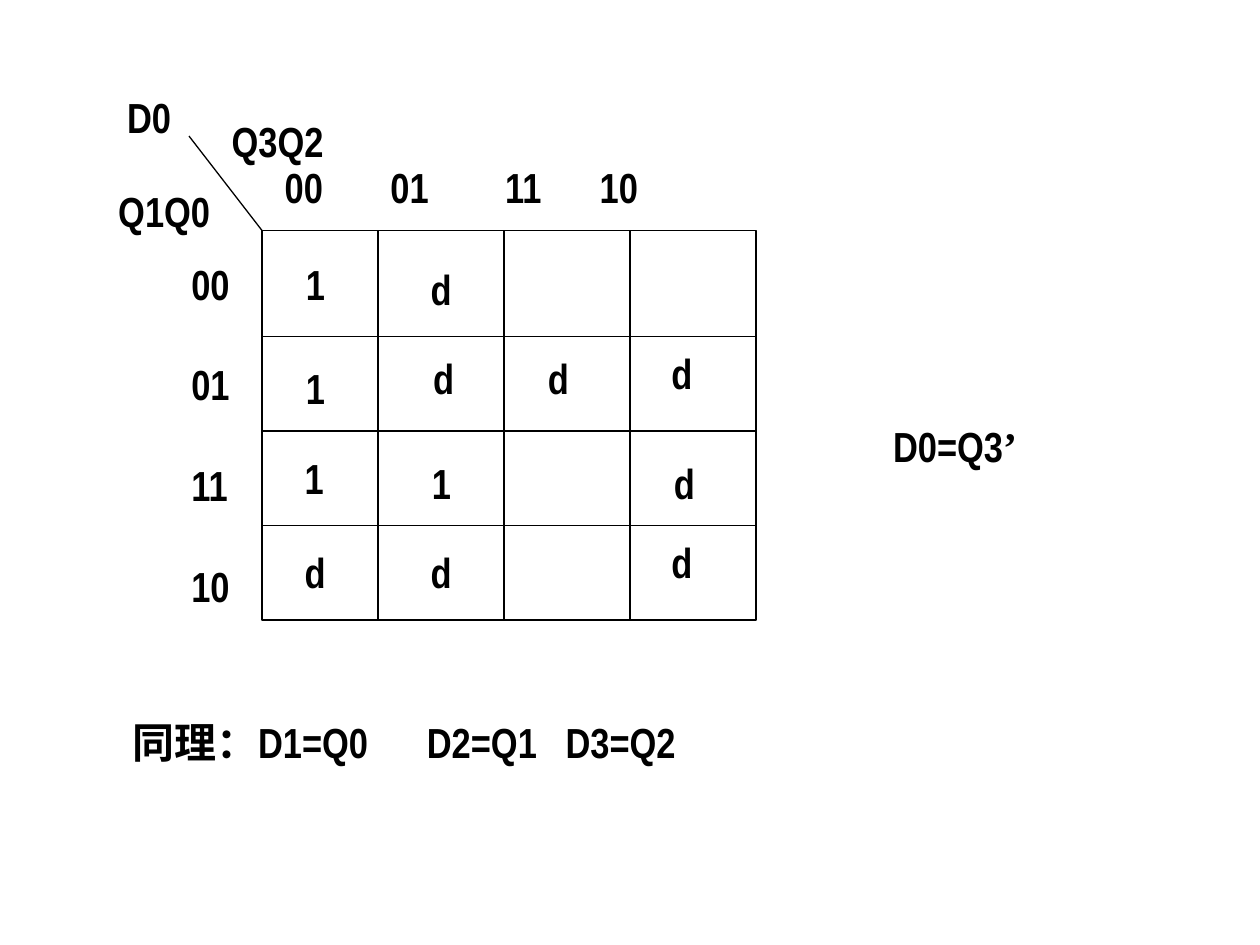
from lxml.etree import SubElement
from pptx import Presentation
from pptx.dml.color import RGBColor
from pptx.enum.shapes import MSO_CONNECTOR, MSO_SHAPE
from pptx.oxml.ns import qn
from pptx.util import Inches, Pt

FONT, SIZE, INK, PAPER = "Arial Narrow", 24, "000000", "FFFFFF"
LINE_HEIGHT = 0.5

# Karnaugh map grid, in inches
COLUMN_EDGES = [2.08, 3, 4, 5, 6]
ROW_EDGES = [1.83, 2.67, 3.42, 4.17, 4.92]
CORNER_START = (1.5, 1.08)

# Each row maps a column to its mark and the mark's offset within the cell
MAP_ROWS = [
    {0: ("1", 0.25, 0.17), 1: ("d", 0.32, 0.21)},
    {0: ("1", 0.25, 0.16), 1: ("d", 0.34, 0.08),
     2: ("d", 0.25, 0.08), 3: ("d", 0.23, 0.04)},
    {0: ("1", 0.24, 0.12), 1: ("1", 0.33, 0.16), 3: ("d", 0.25, 0.16)},
    {0: ("d", 0.24, 0.12), 1: ("d", 0.32, 0.12), 3: ("d", 0.23, 0.04)},
]

# Text, left, top, width
LABELS = [
    ("D0", 0.91, 0.68, 0.55),
    ("Q3Q2", 1.74, 0.87, 0.93),
    ("Q1Q0", 0.84, 1.42, 0.93),
]
ROW_CODES = ["00", "01", "11", "10"]
COLUMN_CODES = "\t00\t01\t11\t10"
COLUMN_STOPS = [0.07, 0.91, 1.82, 2.57]
RESULT = ("D0=Q3", "’")
SIMILAR = "同理：D1=Q0\tD2=Q1\tD3=Q2"
SIMILAR_STOPS = [2.34, 3.44]


def color(value):
    return RGBColor.from_string(value)


def add_line(page, start, end):
    line = page.shapes.add_connector(
        MSO_CONNECTOR.STRAIGHT, *[Inches(v) for v in (*start, *end)])
    line.line.color.rgb = color(INK)
    line.line.width = Pt(0.75)
    SubElement(line._element.spPr, qn("a:effectLst"))


def add_text(page, text, left, top, width, height=LINE_HEIGHT, wrap=False, stops=()):
    box = page.shapes.add_textbox(*[Inches(v) for v in (left, top, width, height)])
    frame = box.text_frame
    frame.word_wrap = wrap
    frame.text = text
    for para in frame.paragraphs:
        if stops:
            tabs = SubElement(para._p.get_or_add_pPr(), qn("a:tabLst"))
            for stop in stops:
                SubElement(tabs, qn("a:tab"), pos=str(Inches(stop)), algn="l")
        for span in para.runs:
            style(span)
    return frame


def style(span, font=FONT):
    span.font.name = font
    span.font.size = Pt(SIZE)
    span.font.bold = True
    span.font.color.rgb = color(INK)


deck = Presentation()
deck.slide_width, deck.slide_height = Inches(10), Inches(7.5)
page = deck.slides.add_slide(deck.slide_layouts[6])

# Map outline, inner lines and corner diagonal
left, right = COLUMN_EDGES[0], COLUMN_EDGES[-1]
top, bottom = ROW_EDGES[0], ROW_EDGES[-1]
outline = page.shapes.add_shape(
    MSO_SHAPE.RECTANGLE, *[Inches(v) for v in (left, top, right - left, bottom - top)])
outline.shadow.inherit = False
outline.fill.solid()
outline.fill.fore_color.rgb = color(PAPER)
outline.line.color.rgb = color(INK)
outline.line.width = Pt(0.75)
for y in ROW_EDGES[1:-1]:
    add_line(page, (left, y), (right, y))
for x in COLUMN_EDGES[1:-1]:
    add_line(page, (x, top), (x, bottom))
add_line(page, CORNER_START, (left, top))

# Variable names and code headings
for label in LABELS:
    add_text(page, *label)
add_text(page, COLUMN_CODES, 2.09, 1.23, 4.32, wrap=True, stops=COLUMN_STOPS)
codes = add_text(page, "\n".join(ROW_CODES), 1.42, 2, 0.58, 2.9, wrap=True)
for para in codes.paragraphs[1:]:
    para.space_before = Pt(SIZE * 1.2)

# Map entries
for y, marks in zip(ROW_EDGES, MAP_ROWS):
    for column, (mark, dx, dy) in marks.items():
        add_text(page, mark, COLUMN_EDGES[column] + dx, y + dy, 0.36)

# Simplified equations, with room for the prime on the same line
result = add_text(page, RESULT[0], 6.99, 3.29, 1.4, wrap=True)
prime = result.paragraphs[0].add_run()
prime.text = RESULT[1]
style(prime, "Times New Roman")
add_text(page, SIMILAR, 0.95, 5.64, 5, wrap=True, stops=SIMILAR_STOPS)

deck.save("out.pptx")
